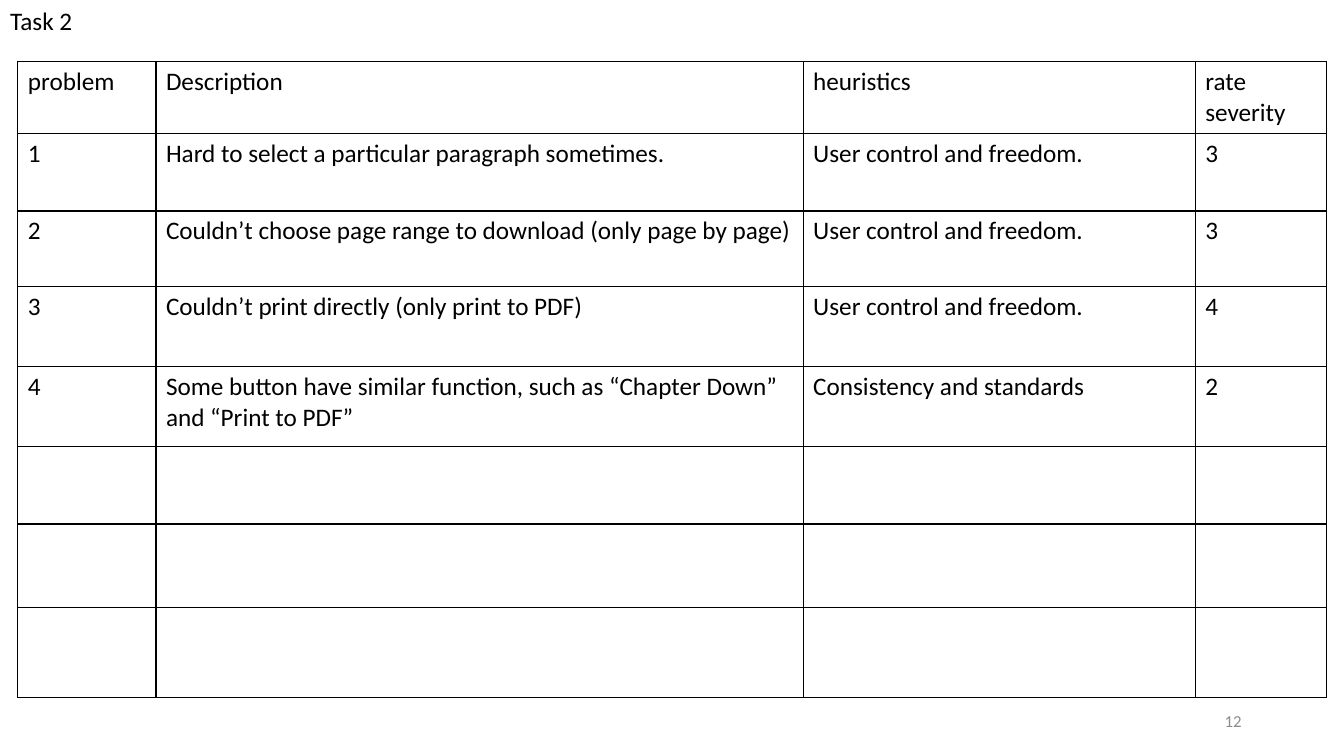
from lxml.etree import SubElement
from pptx import Presentation
from pptx.dml.color import RGBColor
from pptx.enum.text import MSO_ANCHOR, MSO_AUTO_SIZE, PP_ALIGN
from pptx.oxml.ns import qn
from pptx.util import Cm, Pt

COLORS = {"text": "000000", "border": "000000", "number": "8C8C8C"}
FONT = "Calibri"
COLUMN_WIDTHS = [3.48, 16.31, 9.88, 3.3]
ROW_HEIGHTS = [1.63, 1.96, 1.91, 2.01, 2.01, 1.96, 2.11, 2.26]
CONTROL = "User control and freedom."
ROWS = [
    ["problem", "Description", "heuristics", "rate severity"],
    ["1", "Hard to select a particular paragraph sometimes.", CONTROL, "3"],
    ["2", "Couldn’t choose page range to download (only page by page)", CONTROL, "3"],
    ["3", "Couldn’t print directly (only print to PDF)", CONTROL, "4"],
    ["4", "Some button have similar function, such as “Chapter Down” and “Print to PDF”",
     "Consistency and standards", "2"],
]


def write(tf, text, size=18, color="text", align=PP_ALIGN.LEFT):
    """Set the text of a frame and format it."""
    tf.text = text
    p = tf.paragraphs[0]
    p.alignment = align
    for font in [p.font] + [r.font for r in p.runs]:
        font.name = FONT
        font.size = Pt(size)
        font.bold = False
        font.color.rgb = RGBColor.from_string(COLORS[color])


def add_borders(cell):
    """Draw a thin line on each side of a cell."""
    tc_pr = cell._tc.get_or_add_tcPr()
    for side in ("a:lnL", "a:lnR", "a:lnT", "a:lnB"):
        ln = SubElement(tc_pr, qn(side), w=str(Pt(1)))
        fill = SubElement(ln, qn("a:solidFill"))
        SubElement(fill, qn("a:srgbClr"), val=COLORS["border"])


def place_title(slide, left, top, width, height):
    """Place the slide title in the given box."""
    sp = slide.shapes.title
    sp.left, sp.top, sp.width, sp.height = left, top, width, height
    tf = sp.text_frame
    write(tf, "Task 2")
    tf.auto_size = MSO_AUTO_SIZE.NONE
    tf.word_wrap = False
    tf.vertical_anchor = MSO_ANCHOR.TOP


def add_problem_table(slide, left, top, width, height):
    """Add the table of usability problems in the given box."""
    table = slide.shapes.add_table(
        len(ROW_HEIGHTS), len(COLUMN_WIDTHS), left, top, width, height).table
    table.first_row = False
    table.horz_banding = False
    for column, size in zip(table.columns, COLUMN_WIDTHS):
        column.width = Cm(size)
    for row, size in zip(table.rows, ROW_HEIGHTS):
        row.height = Cm(size)
    for cell in table.iter_cells():
        add_borders(cell)
        cell.fill.background()
    for i, texts in enumerate(ROWS):
        for j, text in enumerate(texts):
            write(table.cell(i, j).text_frame, text)


def add_page_number(slide, left, top, width, height):
    """Add the page number at the right of the given box."""
    tf = slide.shapes.add_textbox(left, top, width, height).text_frame
    tf.word_wrap = True
    tf.vertical_anchor = MSO_ANCHOR.MIDDLE
    write(tf, "12", 12, "number", PP_ALIGN.RIGHT)


def main():
    """Build the slide and save it."""
    prs = Presentation()
    prs.slide_width, prs.slide_height = Cm(33.87), Cm(19.05)
    slide = prs.slides.add_slide(prs.slide_layouts[5])
    place_title(slide, Cm(0), Cm(0), Cm(2.46), Cm(1.03))
    add_problem_table(slide, Cm(0.45), Cm(1.55),
                      Cm(sum(COLUMN_WIDTHS)), Cm(sum(ROW_HEIGHTS)))
    add_page_number(slide, Cm(23.92), Cm(17.66), Cm(7.62), Cm(1.01))
    prs.save("out.pptx")


if __name__ == "__main__":
    main()
